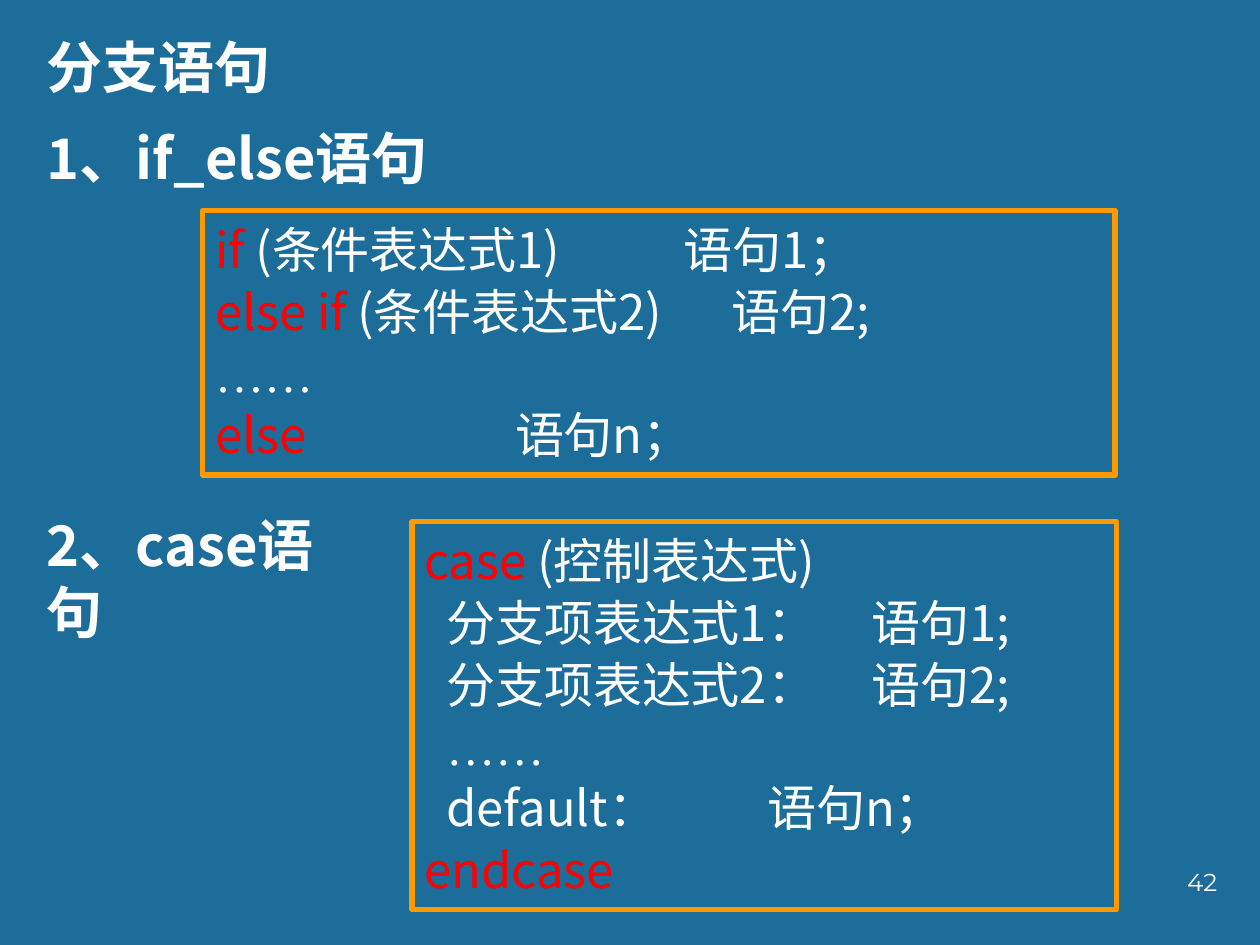
from pptx import Presentation
from pptx.dml.color import RGBColor
from pptx.enum.shapes import MSO_SHAPE
from pptx.enum.text import MSO_ANCHOR, MSO_AUTO_SIZE, PP_ALIGN
from pptx.oxml.ns import qn
from pptx.util import Inches, Pt
from lxml import etree

COLORS = {"back": "1C6D9A", "text": "FFFFFF", "keyword": "FF0000", "frame": "FF9900"}
CJK, SERIF, SANS = "Noto Sans CJK SC", "Times New Roman", "Montserrat"

# Headings: text, (left, top, width, height)
HEADINGS = [
    ("分支语句", (0.27, 0.21, 2.13, 0.63)),
    ("1、if_else语句", (0.27, 0.93, 3.39, 0.63)),
    ("2、case语句", (0.27, 4, 2.68, 0.63)),
]

# Code frames: box, then lines of (tab stop, [(text, colour)])
FRAMES = [
    ((1.61, 1.67, 7.24, 2.1), [
        (3.72, [("if ", "keyword"), ("(条件表达式1)\t语句1；", "text")]),
        (4.1, [("else if", "keyword"), (" (条件表达式2)\t语句2;", "text")]),
        (None, [("……", "text")]),
        (2.38, [("else", "keyword"), ("\t语句n；", "text")]),
    ]),
    ((3.27, 4.14, 5.59, 3.08), [
        (None, [("case ", "keyword"), ("(控制表达式)", "text")]),
        (3.55, [("  分支项表达式1：\t语句1;", "text")]),
        (3.55, [("  分支项表达式2：\t语句2;", "text")]),
        (None, [("  ", "text"), ("……", "text")]),
        (2.72, [("  default：\t语句n；", "text")]),
        (None, [("endcase", "keyword")]),
    ]),
]
PAGE_NUMBER = ("42", (7.68, 6.83, 2.08, 0.5))


def rgb(name):
    return RGBColor.from_string(COLORS[name])


def add_run(p, text, size, color="text", font=CJK, bold=False):
    r = p.add_run()
    r.text = text
    r.font.size, r.font.bold, r.font.name = Pt(size), bold, font
    r.font.color.rgb = rgb(color)
    ea = etree.SubElement(r._r.get_or_add_rPr(), qn("a:ea"))
    ea.set("typeface", font)


def add_tab(p, position):
    tabs = etree.SubElement(p._p.get_or_add_pPr(), qn("a:tabLst"))
    etree.SubElement(tabs, qn("a:tab"), pos=str(Inches(position)), algn="l")


def add_text(slide, text, box, size, **style):
    tf = slide.shapes.add_textbox(*map(Inches, box)).text_frame
    tf.word_wrap = True
    add_run(tf.paragraphs[0], text, size, **style)
    return tf


def add_frame(slide, box, lines):
    s = slide.shapes.add_shape(MSO_SHAPE.RECTANGLE, *map(Inches, box))
    s.shadow.inherit = False
    s.fill.background()
    s.line.color.rgb = rgb("frame")
    s.line.width = Pt(3)
    tf = s.text_frame
    tf.word_wrap = True
    tf.vertical_anchor = MSO_ANCHOR.TOP
    tf.auto_size = MSO_AUTO_SIZE.SHAPE_TO_FIT_TEXT
    for i, (tab, runs) in enumerate(lines):
        p = tf.add_paragraph() if i else tf.paragraphs[0]
        if tab:
            add_tab(p, tab)
        p.alignment = PP_ALIGN.LEFT
        p.line_spacing = 1.05
        for text, color in runs:
            add_run(p, text, 28, color, SERIF if text == "……" else CJK)


def main():
    prs = Presentation()
    prs.slide_width, prs.slide_height = Inches(10), Inches(7.5)
    slide = prs.slides.add_slide(prs.slide_layouts[6])
    slide.background.fill.solid()
    slide.background.fill.fore_color.rgb = rgb("back")

    # Headings and code frames
    for text, box in HEADINGS:
        tf = add_text(slide, text, box, 32, bold=True)
        tf.auto_size = MSO_AUTO_SIZE.SHAPE_TO_FIT_TEXT
    for box, lines in FRAMES:
        add_frame(slide, box, lines)

    # Page number
    tf = add_text(slide, *PAGE_NUMBER, 14, font=SANS)
    tf.paragraphs[0].alignment = PP_ALIGN.RIGHT

    prs.save("out.pptx")


if __name__ == "__main__":
    main()
